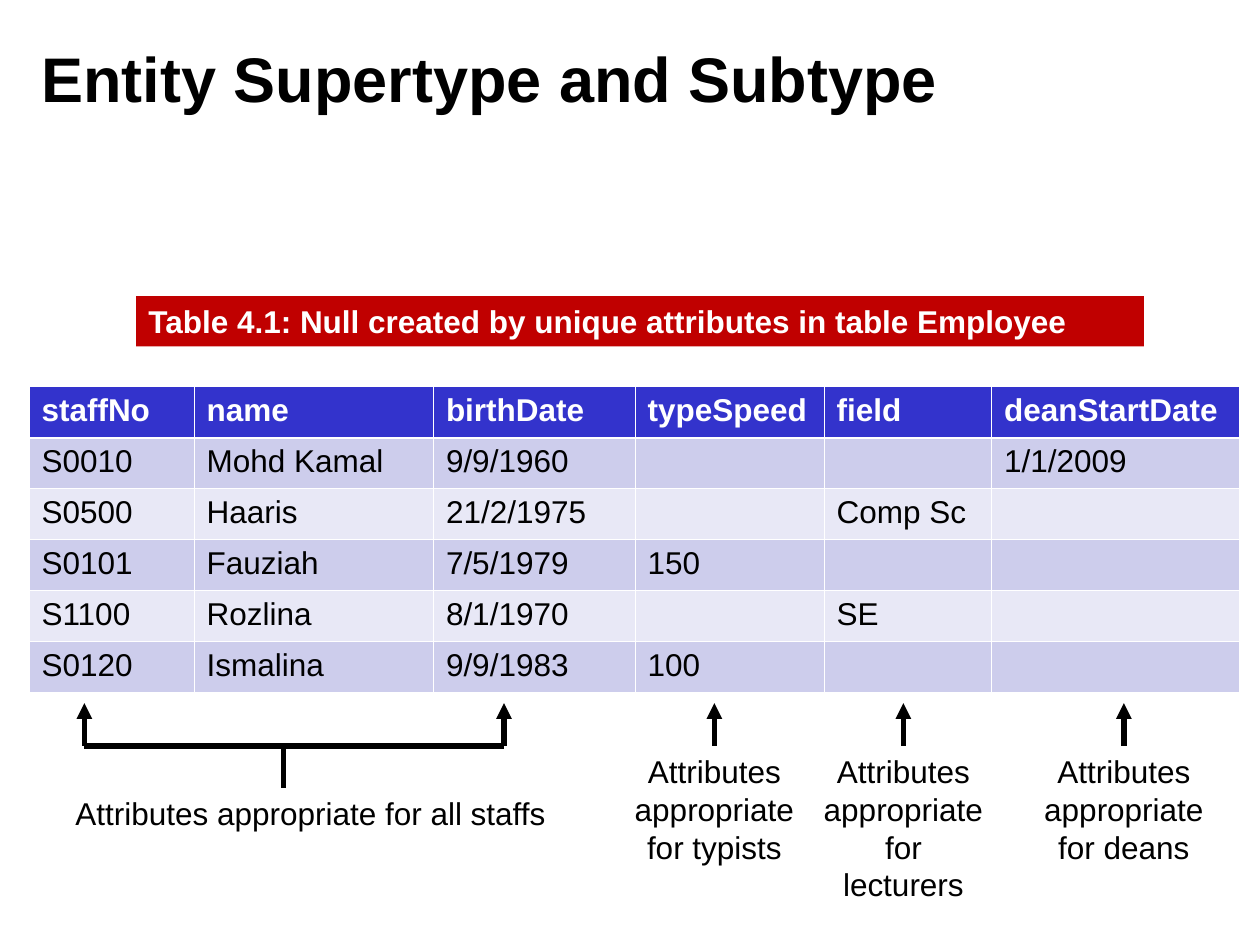
"""Build the slide on nulls caused by subtype attributes in an Employee table."""
from lxml.etree import SubElement
from pptx import Presentation
from pptx.dml.color import RGBColor
from pptx.enum.shapes import MSO_CONNECTOR, MSO_SHAPE
from pptx.enum.text import MSO_ANCHOR, MSO_AUTO_SIZE, PP_ALIGN
from pptx.oxml import parse_xml
from pptx.oxml.ns import nsdecls, qn
from pptx.util import Inches, Pt

BLACK = RGBColor(0x00, 0x00, 0x00)
WHITE = RGBColor(0xFF, 0xFF, 0xFF)
RED = RGBColor(0xC0, 0x00, 0x00)
BLUE = RGBColor(0x33, 0x33, 0xCC)
BANDS = (RGBColor(0xCD, 0xCD, 0xEC), RGBColor(0xE8, 0xE8, 0xF6))

TITLE = "Entity Supertype and Subtype"
CAPTION = "Table 4.1: Null created by unique attributes in table Employee"
EMPLOYEES = [
    ("staffNo", "name", "birthDate", "typeSpeed", "field", "deanStartDate"),
    ("S0010", "Mohd Kamal", "9/9/1960", "", "", "1/1/2009"),
    ("S0500", "Haaris", "21/2/1975", "", "Comp Sc", ""),
    ("S0101", "Fauziah", "7/5/1979", "150", "", ""),
    ("S1100", "Rozlina", "8/1/1970", "", "SE", ""),
    ("S0120", "Ismalina", "9/9/1983", "100", "", ""),
]
COLUMN_WIDTHS = (1.31, 1.9, 1.6, 1.5, 1.33, 1.97)
ROW_HEIGHT = 0.405
SHARED_NOTE = "Attributes appropriate for all staffs"
SUBTYPE_NOTES = [
    ("Attributes appropriate for typists", 5.67, 1),
    ("Attributes appropriate for lecturers", 7.17, 1.3),
    ("Attributes appropriate for deans", 8.92, 1),
]
NOTE_WIDTH = 1.5
ARROW_TOP, ARROW_BOTTOM = 5.58, 5.92
BRACKET_LEFT, BRACKET_STEM, BRACKET_RIGHT, STEM_BOTTOM = 0.67, 2.25, 4, 6.25


def write(frame, text, color=BLACK, size=18, bold=False, align=PP_ALIGN.LEFT):
    frame.word_wrap = True
    para = frame.paragraphs[0]
    para.text = text
    para.alignment = align
    font = para.font
    font.name, font.size, font.bold = "Arial", Pt(size), bold
    font.color.rgb = color


def add_note(page, text, left, top, width, height, align=PP_ALIGN.LEFT):
    box = page.shapes.add_textbox(*map(Inches, (left, top, width, height)))
    write(box.text_frame, text, align=align)


def add_line(shapes, start, end, arrow=False):
    line = shapes.add_connector(MSO_CONNECTOR.STRAIGHT, *map(Inches, start + end))
    line.line.color.rgb = BLACK
    line.line.width = Pt(3)
    properties = line._element.spPr
    if arrow:
        SubElement(properties.find(qn("a:ln")), qn("a:tailEnd"), type="triangle")
    SubElement(properties, qn("a:effectLst"))


def add_arrow(shapes, x):
    add_line(shapes, (x, ARROW_BOTTOM), (x, ARROW_TOP), arrow=True)


def set_borders(cell, top, bottom):
    widths = {"lnL": 0.45, "lnR": 0.45, "lnT": top, "lnB": bottom}
    for place, (side, width) in enumerate(widths.items()):
        border = parse_xml(
            f'<a:{side} {nsdecls("a")} w="{Pt(width)}"><a:solidFill>'
            f'<a:srgbClr val="{WHITE}"/></a:solidFill></a:{side}>'
        )
        cell._tc.get_or_add_tcPr().insert(place, border)


def add_employee_table(page):
    size = sum(COLUMN_WIDTHS), ROW_HEIGHT * len(EMPLOYEES)
    table = page.shapes.add_table(
        len(EMPLOYEES), len(COLUMN_WIDTHS), *map(Inches, (0.23, 3.07) + size)
    ).table
    for column, width in zip(table.columns, COLUMN_WIDTHS):
        column.width = Inches(width)
    for number, values in enumerate(EMPLOYEES):
        header = number == 0
        table.rows[number].height = Inches(ROW_HEIGHT)
        for cell, value in zip(table.rows[number].cells, values):
            write(cell.text_frame, value, WHITE if header else BLACK, bold=header)
            cell.fill.solid()
            cell.fill.fore_color.rgb = BLUE if header else BANDS[(number - 1) % 2]
            set_borders(cell, 1.47 if number == 1 else 0.45, 1.47 if header else 0.45)


def add_caption(page):
    caption = page.shapes.add_shape(
        MSO_SHAPE.RECTANGLE, *map(Inches, (1.08, 2.35, 8, 0.4))
    )
    caption.shadow.inherit = False
    caption.fill.solid()
    caption.fill.fore_color.rgb = RED
    caption.line.fill.background()
    write(caption.text_frame, CAPTION, WHITE, bold=True)


def add_bracket(page):
    shapes = page.shapes.add_group_shape().shapes
    add_line(shapes, (BRACKET_LEFT, ARROW_BOTTOM), (BRACKET_RIGHT, ARROW_BOTTOM))
    for x in (BRACKET_LEFT, BRACKET_RIGHT):
        add_arrow(shapes, x)
    add_line(shapes, (BRACKET_STEM, STEM_BOTTOM), (BRACKET_STEM, ARROW_BOTTOM))


def main():
    deck = Presentation()
    deck.slide_width, deck.slide_height = Inches(10), Inches(7.5)
    page = deck.slides.add_slide(deck.slide_layouts[5])

    title = page.shapes.title
    title.left, title.top, title.width, title.height = map(
        Inches, (0.23, 0.15, 8.03, 0.93)
    )
    title.text_frame.auto_size = MSO_AUTO_SIZE.NONE
    title.text_frame.vertical_anchor = MSO_ANCHOR.MIDDLE
    write(title.text_frame, TITLE, size=36, bold=True)

    add_employee_table(page)
    add_caption(page)
    add_bracket(page)
    add_note(page, SHARED_NOTE, 0.5, STEM_BOTTOM, 4, 0.4)
    for text, x, height in SUBTYPE_NOTES:
        add_arrow(page.shapes, x)
        add_note(page, text, x - NOTE_WIDTH / 2, ARROW_BOTTOM, NOTE_WIDTH, height,
                 PP_ALIGN.CENTER)
    deck.save("out.pptx")


if __name__ == "__main__":
    main()
